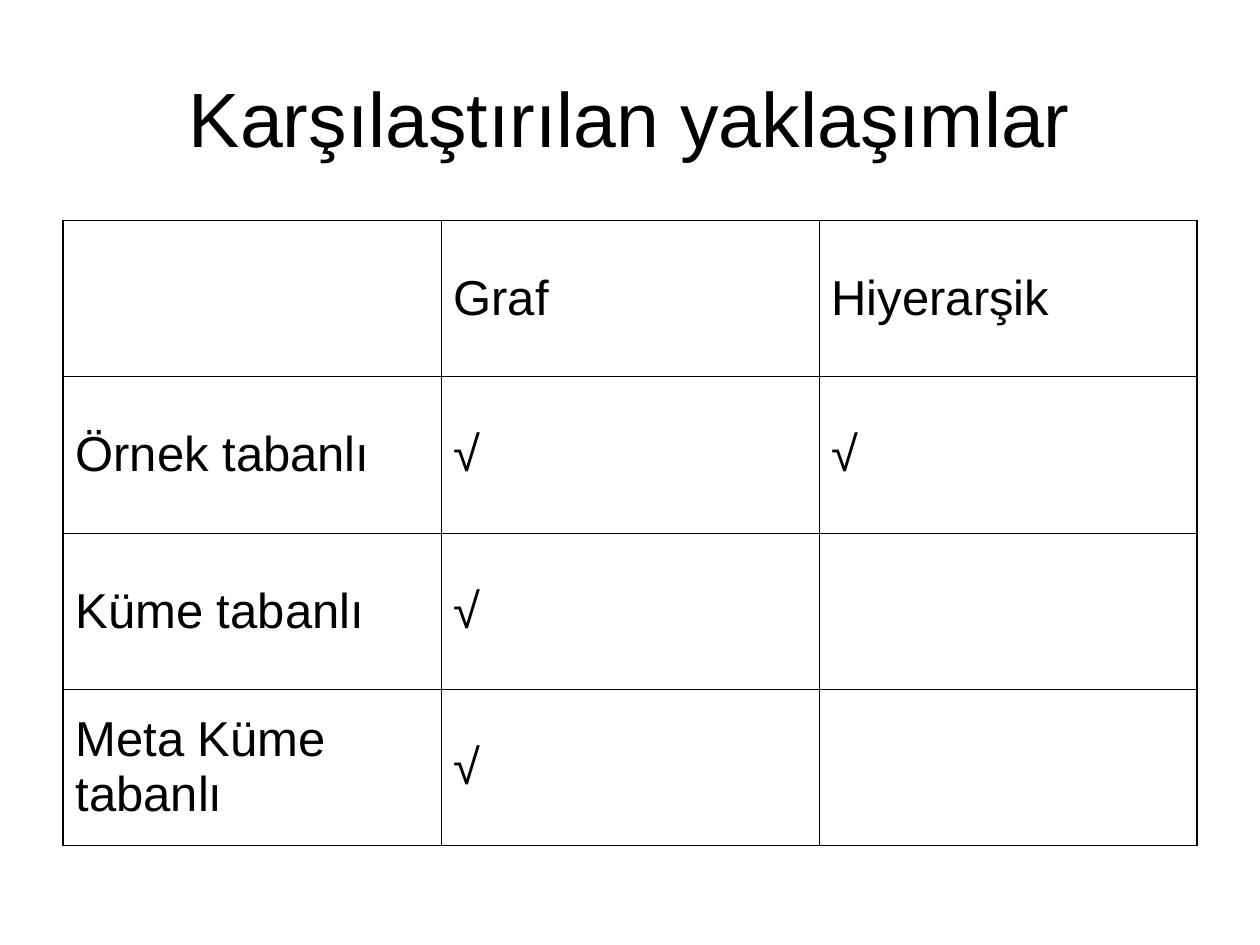
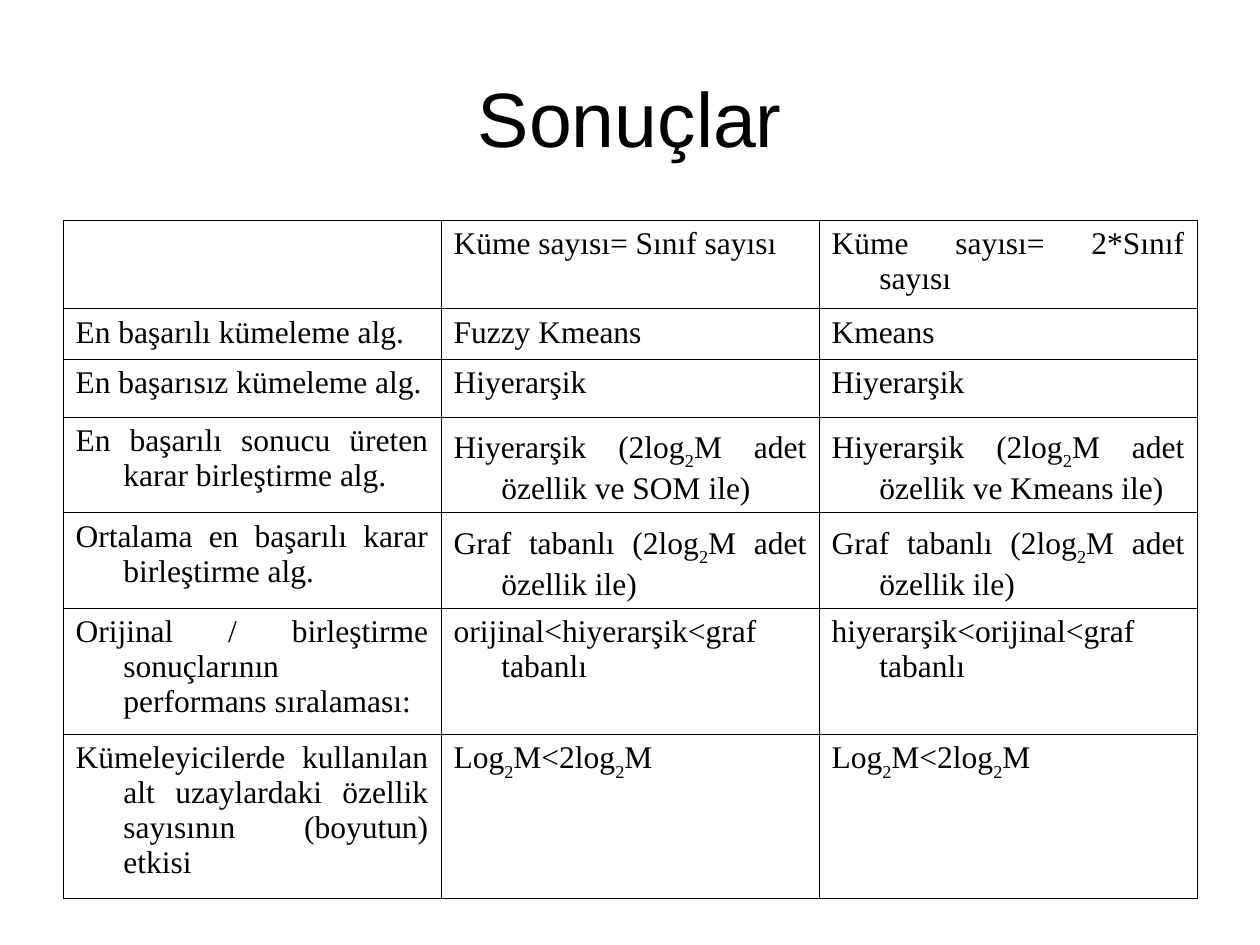
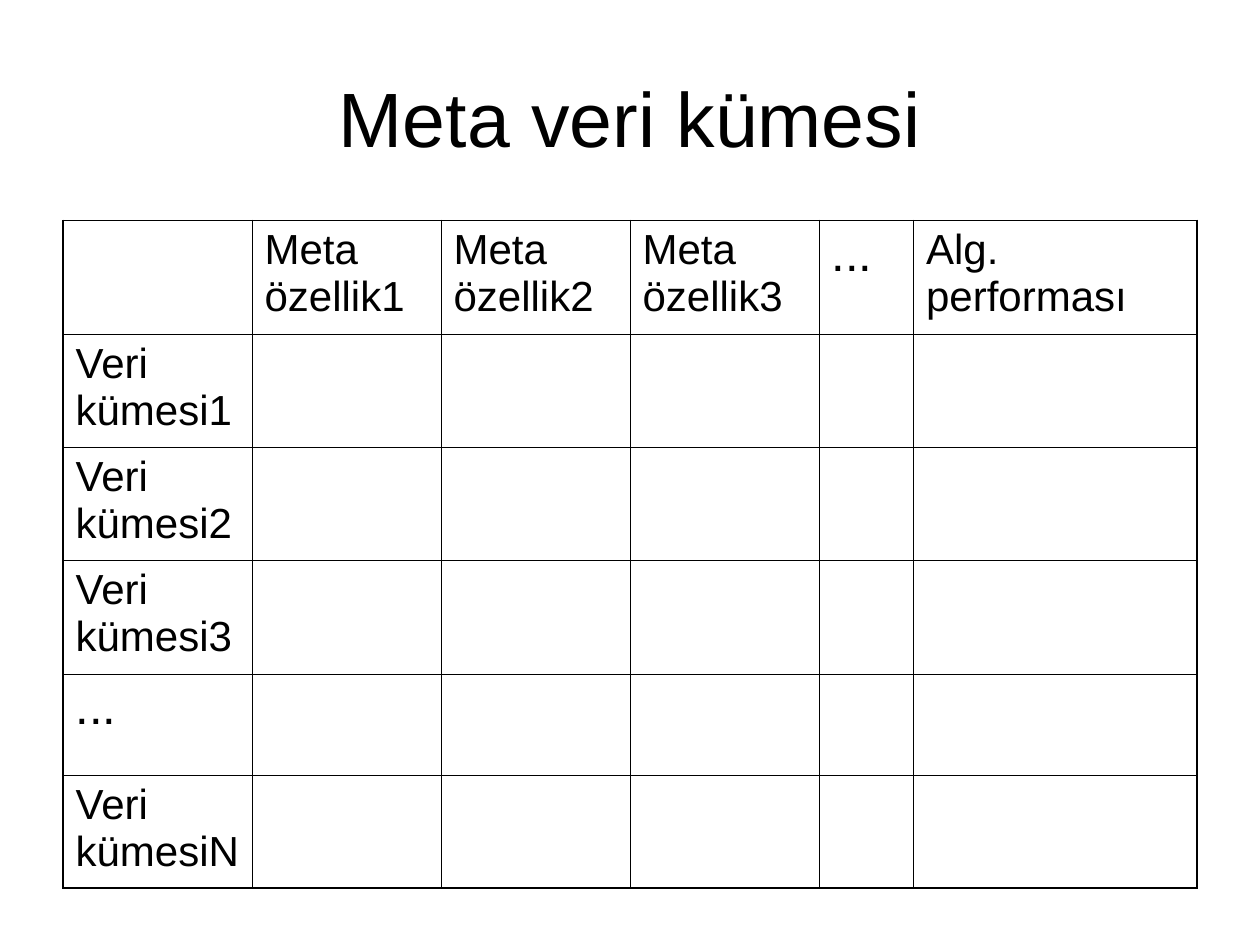
"""Build three slides that compare clustering ensemble approaches in tables."""
from dataclasses import dataclass

import pptx
import pptx.dml.color
import pptx.enum.text
import pptx.oxml
import pptx.oxml.ns
import pptx.presentation
import pptx.slide
import pptx.table
import pptx.text.text
import pptx.util

Inches = pptx.util.Inches
Pt = pptx.util.Pt
Align = pptx.enum.text.PP_ALIGN
Anchor = pptx.enum.text.MSO_ANCHOR

BLACK = pptx.dml.color.RGBColor(0x00, 0x00, 0x00)
SANS = "Arial"
SERIF = "Times New Roman"
THIN = Pt(0.45)
THICK = Pt(1.08)
LEFT = Inches(0.5)
CONTENT_WIDTH = Inches(9)
TITLE_TOP = Inches(0.3)
TITLE_HEIGHT = Inches(1.25)
TABLE_TOP = Inches(1.75)
HANGING_INDENT = Inches(0.38)
SUBSCRIPT_TWO = "₂"
ELLIPSIS = "..."
ELLIPSIS_SIZE = 28


@dataclass
class TableSlide:
    """A title with one table, sizes in inches and points."""
    title: str
    column_widths: list[float]
    row_heights: list[float]
    rows: list[list[str]]
    font_name: str
    font_size: float
    outer_line: int
    anchor: Anchor = Anchor.TOP
    justified: bool = False


SLIDES = [
    TableSlide(
        title="Karşılaştırılan yaklaşımlar",
        column_widths=[3] * 3,
        row_heights=[1.24] * 4,
        rows=[
            ["", "Graf", "Hiyerarşik"],
            ["Örnek tabanlı", "√", "√"],
            ["Küme tabanlı", "√", ""],
            ["Meta Küme tabanlı", "√", ""],
        ],
        font_name=SANS, font_size=28, outer_line=THICK, anchor=Anchor.MIDDLE,
    ),
    TableSlide(
        title="Sonuçlar",
        column_widths=[3] * 3,
        row_heights=[0.7, 0.4, 0.46, 0.76, 0.76, 1, 1.3],
        rows=[
            ["", "Küme sayısı= Sınıf sayısı", "Küme sayısı= 2*Sınıf sayısı"],
            ["En başarılı kümeleme alg.", "Fuzzy Kmeans", "Kmeans"],
            ["En başarısız kümeleme alg.", "Hiyerarşik", "Hiyerarşik"],
            ["En başarılı sonucu üreten karar birleştirme alg.",
             "Hiyerarşik (2log₂M adet özellik ve SOM ile)",
             "Hiyerarşik (2log₂M adet özellik ve Kmeans ile)"],
            ["Ortalama en başarılı karar birleştirme alg."]
            + ["Graf tabanlı (2log₂M adet özellik ile)"] * 2,
            ["Orijinal / birleştirme sonuçlarının performans sıralaması:",
             "orijinal<hiyerarşik<graf tabanlı",
             "hiyerarşik<orijinal<graf tabanlı"],
            ["Kümeleyicilerde kullanılan alt uzaylardaki özellik sayısının "
             "(boyutun) etkisi"] + ["Log₂M<2log₂M"] * 2,
        ],
        font_name=SERIF, font_size=18, outer_line=THIN, justified=True,
    ),
    TableSlide(
        title="Meta veri kümesi",
        column_widths=[1.5] * 4 + [0.75, 2.25],
        row_heights=[0.9] * 4 + [0.8, 0.9],
        rows=[
            [""] + [f"Meta özellik{number}" for number in (1, 2, 3)]
            + [ELLIPSIS, "Alg. performası"],
            *([label] + [""] * 5 for label in (
                "Veri kümesi1", "Veri kümesi2", "Veri kümesi3",
                ELLIPSIS, "Veri kümesiN")),
        ],
        font_name=SANS, font_size=24, outer_line=THICK,
    ),
]


def set_font(paragraph: pptx.text.text._Paragraph, name: str, size: float) -> None:
    """Give the paragraph a black font."""
    paragraph.font.name = name
    paragraph.font.size = Pt(size)
    paragraph.font.color.rgb = BLACK


def add_title(slide: pptx.slide.Slide, text: str) -> None:
    """Place and format the title placeholder."""
    title = slide.shapes.title
    title.left, title.top = LEFT, TITLE_TOP
    title.width, title.height = CONTENT_WIDTH, TITLE_HEIGHT
    title.text_frame.text = text
    title.text_frame.vertical_anchor = Anchor.MIDDLE
    paragraph = title.text_frame.paragraphs[0]
    paragraph.alignment = Align.CENTER
    set_font(paragraph, SANS, 44)


def set_borders(cell: pptx.table._Cell, widths: dict[str, int]) -> None:
    """Draw the cell sides, keyed L, R, T and B, in black."""
    properties = cell._tc.get_or_add_tcPr()
    for side, width in widths.items():
        properties.append(pptx.oxml.parse_xml(
            f'<a:ln{side} {pptx.oxml.ns.nsdecls("a")} w="{width}">'
            f'<a:solidFill><a:srgbClr val="{BLACK}"/></a:solidFill></a:ln{side}>'))


def fill_text(cell: pptx.table._Cell, text: str, content: TableSlide) -> None:
    """Write the text, lowering each subscript two."""
    has_subscript = SUBSCRIPT_TWO in text
    ends_at_bottom = has_subscript and "özellik" in text
    cell.vertical_anchor = Anchor.BOTTOM if ends_at_bottom else content.anchor
    paragraph = cell.text_frame.paragraphs[0]
    if content.justified:
        paragraph.alignment = Align.JUSTIFY
        properties = paragraph._p.get_or_add_pPr()
        properties.set("marL", str(HANGING_INDENT))
        properties.set("indent", str(-HANGING_INDENT))
    for index, part in enumerate(text.split(SUBSCRIPT_TWO)):
        if index:
            subscript = paragraph.add_run()
            subscript.text = "2"
            subscript._r.get_or_add_rPr().set("baseline", "-30000")
        if part:
            paragraph.add_run().text = part
    size = ELLIPSIS_SIZE if text == ELLIPSIS else content.font_size
    set_font(paragraph, content.font_name, size)


def add_table(slide: pptx.slide.Slide, content: TableSlide) -> None:
    """Add the table with its grid and text."""
    row_count, column_count = len(content.row_heights), len(content.column_widths)
    table = slide.shapes.add_table(
        row_count, column_count, LEFT, TABLE_TOP, CONTENT_WIDTH,
        Inches(sum(content.row_heights))).table
    table.first_row = table.horz_banding = False
    for column, width in zip(table.columns, content.column_widths):
        column.width = Inches(width)
    for row_index, texts in enumerate(content.rows):
        table.rows[row_index].height = Inches(content.row_heights[row_index])
        for column_index, text in enumerate(texts):
            cell = table.cell(row_index, column_index)
            on_edge = {
                "L": column_index == 0,
                "R": column_index == column_count - 1,
                "T": row_index == 0,
                "B": row_index == row_count - 1,
            }
            set_borders(cell, {side: content.outer_line if outer else THIN
                               for side, outer in on_edge.items()})
            cell.fill.background()
            fill_text(cell, text, content)


def add_table_slide(presentation: pptx.presentation.Presentation,
                    content: TableSlide) -> None:
    """Add one slide with a title and a table."""
    slide = presentation.slides.add_slide(
        presentation.slide_layouts.get_by_name("Title Only"))
    add_title(slide, content.title)
    add_table(slide, content)


def main() -> None:
    """Build and save the presentation."""
    presentation = pptx.Presentation()
    presentation.slide_width, presentation.slide_height = Inches(10), Inches(7.5)
    for content in SLIDES:
        add_table_slide(presentation, content)
    presentation.save("out.pptx")


if __name__ == "__main__":
    main()
